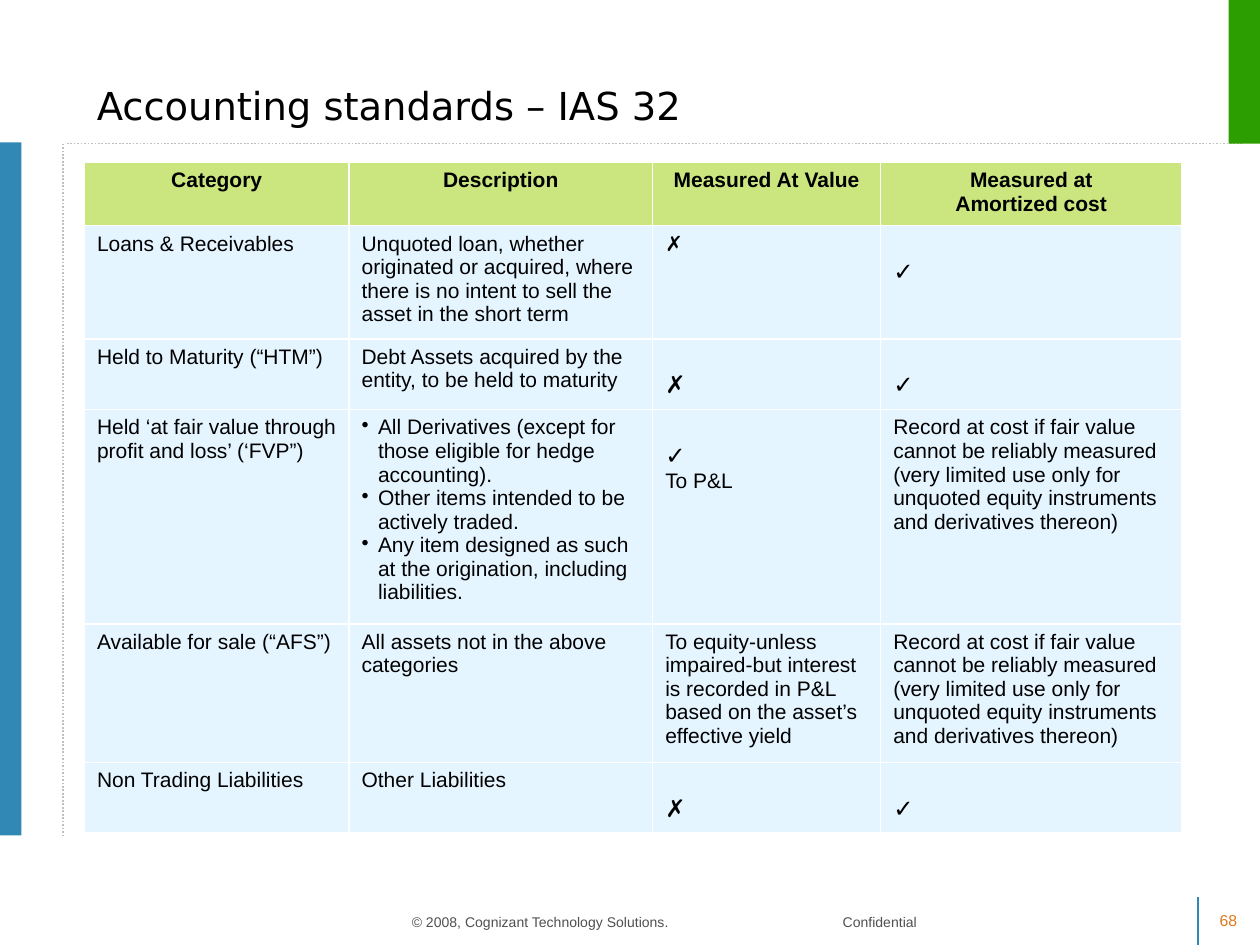
from lxml import etree
from pptx import Presentation
from pptx import util as u
from pptx.dml import color
from pptx.enum import dml, shapes, text
from pptx.oxml import ns

Inches, Pt = u.Inches, u.Pt
hues = {"blue": "3188B4", "green": "2D9E01", "grey": "C0C0C0", "note": "505050",
        "page": "DF7A1C", "ink": "000000", "head": "99CC00", "body": "CCECFF",
        "white": "FFFFFF"}
left, mid = text.PP_ALIGN.LEFT, text.PP_ALIGN.CENTER


def add(root, tag, **atts):
    return etree.SubElement(root, ns.qn("a:" + tag), atts)


def write(frame, words, size=12, font="Arial", hue="ink", bold=False, align=left,
          anchor=text.MSO_ANCHOR.TOP, dots=False, tab=None):
    frame.word_wrap = True
    frame.vertical_anchor = anchor
    for i, line in enumerate(words.split("\n")):
        para = frame.paragraphs[0] if i == 0 else frame.add_paragraph()
        para.alignment = align
        props = para._p.get_or_add_pPr()
        if dots:
            props.set("marL", str(Inches(0.13)))
            props.set("indent", str(-Inches(0.13)))
            add(add(props, "buClr"), "srgbClr", val=hues["ink"])
            add(props, "buChar", char="•")
        if tab:
            add(add(props, "tabLst"), "tab", pos=str(Inches(tab)), algn="l")
        run = para.add_run()
        run.text = line
        mark = line == "✓" or line == "✗" and size == 24
        run.font.size = Pt(24 if mark else 12 if size == 24 else size)
        run.font.name = font
        run.font.bold = bold
        run.font.color.rgb = color.RGBColor.from_string(hues[hue])
        if mark:
            run._r.get_or_add_rPr().set("baseline", "-25000")


deck = Presentation()
deck.slide_width, deck.slide_height = Inches(10), Inches(7.5)
slide = deck.slides.add_slide(deck.slide_layouts[6])

for x1, y1, x2, y2, hue in [(9.51, 7.5, 9.51, 7.12, "blue"),
                            (0.53, 1.14, 9.86, 1.14, "grey"),
                            (0.5, 1.14, 0.5, 6.64, "grey")]:
    rule = slide.shapes.add_connector(shapes.MSO_CONNECTOR.STRAIGHT, Inches(x1),
                                      Inches(y1), Inches(x2), Inches(y2))
    rule.line.color.rgb = color.RGBColor.from_string(hues[hue])
    rule.line.width = Pt(1)
    if hue == "grey":
        rule.line.dash_style = dml.MSO_LINE.ROUND_DOT
    add(rule._element.spPr, "effectLst")

for x, y, w, h, hue in [(0, 1.13, 0.17, 5.5, "blue"), (9.75, 0, 0.25, 1.14, "green")]:
    bar = slide.shapes.add_shape(shapes.MSO_SHAPE.RECTANGLE, Inches(x), Inches(y),
                                 Inches(w), Inches(h))
    bar.shadow.inherit = False
    bar.fill.solid()
    bar.fill.fore_color.rgb = color.RGBColor.from_string(hues[hue])
    bar.line.fill.background()

low = text.MSO_ANCHOR.BOTTOM
for spot, words, style in [
    ((3.17, 7.03, 5.66, 0.4), "© 2008, Cognizant Technology Solutions.\tConfidential",
     dict(size=8, hue="note", anchor=low, tab=3.42)),
    ((9.55, 7.18, 0.4, 0.25), "68", dict(size=9, hue="page", align=mid)),
    ((0.67, 0.4, 8.91, 0.67), "Accounting standards – IAS 32",
     dict(size=22, font="DejaVu Sans", anchor=low)),
]:
    box = slide.shapes.add_textbox(*[Inches(n) for n in spot])
    write(box.text_frame, words, **style)

cost = ("Record at cost if fair value cannot be reliably measured (very limited use "
        "only for unquoted equity instruments and derivatives thereon)")
rows = [
    ["Category", "Description", "Measured At Value", "Measured at\nAmortized cost"],
    ["Loans & Receivables",
     "Unquoted loan, whether originated or acquired, where there is no intent to sell "
     "the asset in the short term", "✗", "✓"],
    ["Held to Maturity (“HTM”)",
     "Debt Assets acquired by the entity, to be held to maturity", "✗", "✓"],
    ["Held ‘at fair value through profit and loss’ (‘FVP”)",
     "All Derivatives (except for those eligible for hedge accounting).\n"
     "Other items intended to be actively traded.\n"
     "Any item designed as such at the origination, including liabilities.",
     "✓\nTo P&L", cost],
    ["Available for sale (“AFS”)", "All assets not in the above categories",
     "To equity-unless impaired-but interest is recorded in P&L based on the asset’s "
     "effective yield", cost],
    ["Non Trading Liabilities", "Other Liabilities", "✗", "✓"],
]
wide = [2.1, 2.41, 1.81, 2.39]
tall = [0.5, 0.9, 0.56, 1.7, 1.1, 0.56]
grid = slide.shapes.add_table(len(rows), len(wide), Inches(0.67), Inches(1.29),
                              Inches(sum(wide)), Inches(sum(tall))).table
for col, w in zip(grid.columns, wide):
    col.width = Inches(w)
for row, h in zip(grid.rows, tall):
    row.height = Inches(h)

for r, row in enumerate(rows):
    for c, words in enumerate(row):
        cell = grid.cell(r, c)
        head = r == 0
        write(cell.text_frame, words, bold=head, align=mid if head else left,
              size=24 if words == "✗" and r > 1 else 12, dots=(r, c) == (3, 1))
        props = cell._tc.get_or_add_tcPr()
        for side in ("lnL", "lnR", "lnT", "lnB"):
            edge = add(props, side, w=str(Pt(0.96)))
            add(add(edge, "solidFill"), "srgbClr", val=hues["white"])
        cell.fill.solid()
        cell.fill.fore_color.rgb = color.RGBColor.from_string(
            hues["head" if head else "body"])
        tint = props.find(ns.qn("a:solidFill")).find(ns.qn("a:srgbClr"))
        add(tint, "alpha", val="50000")

deck.save("out.pptx")
